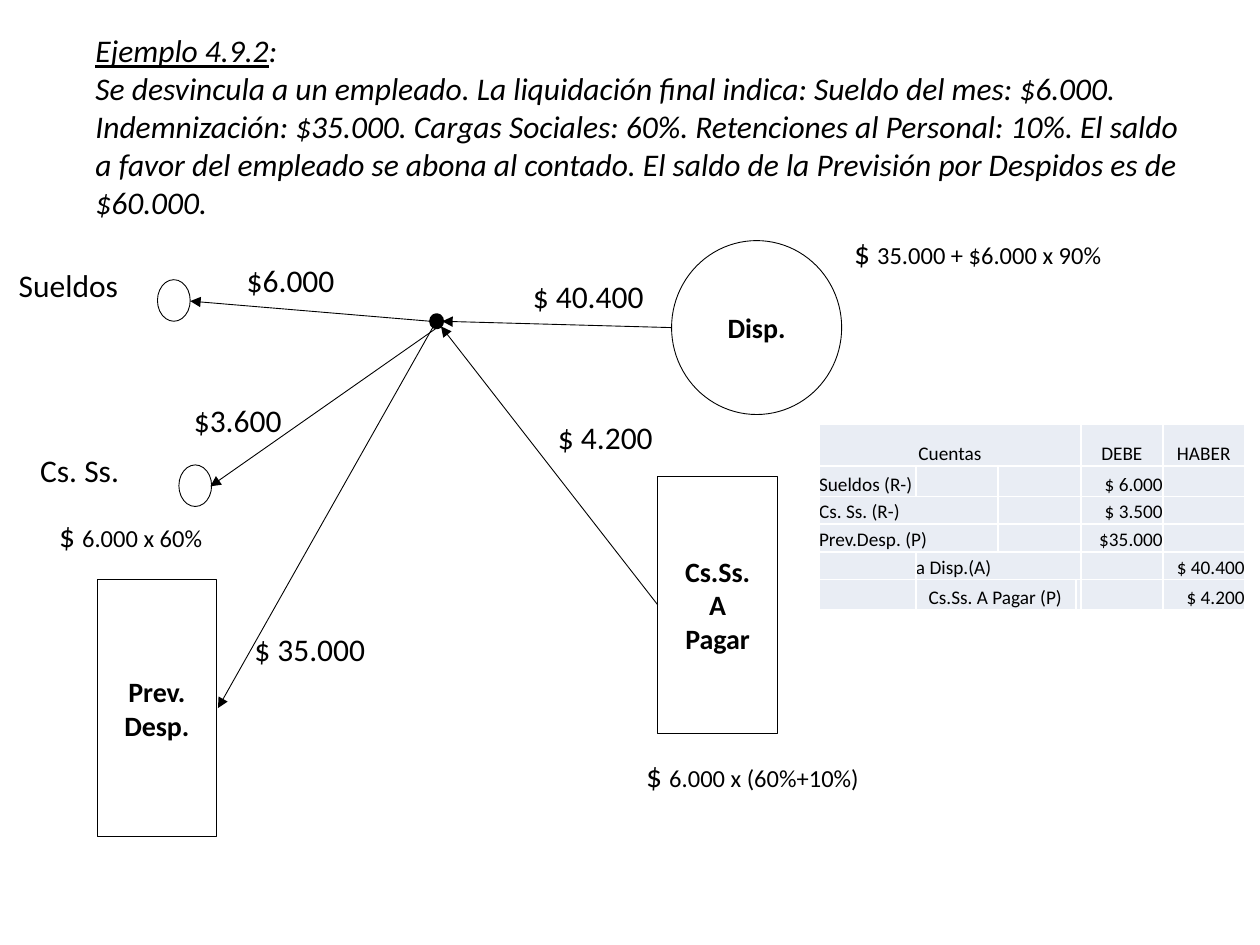
from lxml.etree import SubElement as Sub
from pptx import Presentation
from pptx.dml.color import RGBColor
from pptx.enum.shapes import MSO_CONNECTOR as Conn, MSO_SHAPE as Kind
from pptx.enum.text import (MSO_ANCHOR as Anchor, MSO_AUTO_SIZE as Auto,
                            PP_ALIGN as Align)
from pptx.oxml.ns import qn
from pptx.util import Inches, Pt

BLACK = RGBColor(0, 0, 0)
WHITE = RGBColor(255, 255, 255)
PALE = RGBColor(0xE9, 0xED, 0xF4)
FONT = "Calibri"

TITLE = [
    "Se desvincula a un empleado. La liquidación final indica: "
    "Sueldo del mes: $6.000.",
    "Indemnización: $35.000. Cargas Sociales: 60%. Retenciones al Personal: "
    "10%. El saldo a favor del empleado se abona al contado. El saldo de la "
    "Previsión por Despidos es de $60.000.",
]

# Left, top, width, text
LABELS = [
    (1.86, 2.02, 0.96, "$6.000"),
    (4.33, 3.27, 0.96, "$ 4.200"),
    (4.13, 2.15, 1.09, "$ 40.400"),
    (1.92, 4.95, 1.09, "$ 35.000"),
    (1.44, 3.13, 0.96, "$3.600"),
    (0.05, 2.06, 1.51, "Sueldos"),
    (0.22, 3.53, 1.51, "Cs. Ss."),
]
NOTES = [
    (0.37, 4.05, 1.35, "6.000 x 60%"),
    (5.03, 5.95, 1.91, "6.000 x (60%+10%)"),
    (6.68, 1.8, 2.18, "35.000 + $6.000 x 90%"),
]

# Start and end of each arrow
ARROWS = [
    (5.22, 4.8, 3.5, 2.59),
    (5.33, 2.6, 3.51, 2.55),
    (3.42, 2.55, 1.51, 2.39),
    (3.44, 2.59, 1.73, 5.62),
    (3.47, 2.6, 1.67, 3.86),
]

COLS = [0.77, 0.65, 0.62, 0.03, 0.65, 0.65]
ROWS = [0.33, 0.24, 0.22, 0.22, 0.22, 0.24]
# Row, first column, last column
SPANS = [(0, 0, 3), (1, 2, 3), (2, 0, 1), (2, 2, 3), (3, 0, 1), (3, 2, 3),
         (4, 1, 3), (5, 1, 2)]
# Row, column, text, alignment
CELLS = [
    (0, 0, "Cuentas", Align.CENTER),
    (0, 4, "DEBE", Align.CENTER),
    (0, 5, "HABER", Align.CENTER),
    (1, 0, "Sueldos (R-)", Align.LEFT),
    (1, 4, "$ 6.000", Align.RIGHT),
    (2, 0, "Cs. Ss. (R-)", Align.LEFT),
    (2, 4, "$ 3.500", Align.RIGHT),
    (3, 0, "Prev.Desp. (P)", Align.LEFT),
    (3, 4, "$35.000", Align.RIGHT),
    (4, 1, "a Disp.(A)", Align.LEFT),
    (4, 5, "$ 40.400", Align.RIGHT),
    (5, 1, "Cs.Ss. A Pagar (P)", Align.LEFT),
    (5, 5, "$ 4.200", Align.RIGHT),
]


def add_run(para, text, size, bold=None, slant=None, under=None):
    run = para.add_run()
    run.text = text
    font = run.font
    font.name, font.size = FONT, Pt(size)
    font.bold, font.italic, font.underline = bold, slant, under
    font.color.rgb = BLACK


def add_box(slide, left, top, width, height=0.4, wrap=False):
    box = slide.shapes.add_textbox(*map(Inches, (left, top, width, height)))
    frame = box.text_frame
    frame.word_wrap = wrap
    frame.auto_size = Auto.SHAPE_TO_FIT_TEXT
    return frame


def add_title(slide):
    frame = add_box(slide, 0.66, 0.2, 8.8, 1.62, wrap=True)
    head = frame.paragraphs[0]
    add_run(head, "Ejemplo 4.9.2", 18, slant=True, under=True)
    add_run(head, ":", 18, slant=True)
    for text in TITLE:
        add_run(frame.add_paragraph(), text, 18, slant=True)


def add_node(slide, kind, left, top, width, height, lines=(), line=0.5,
             fill=None):
    node = slide.shapes.add_shape(
        kind, *map(Inches, (left, top, width, height)))
    node.shadow.inherit = False
    if fill is None:
        node.fill.background()
    else:
        node.fill.solid()
        node.fill.fore_color.rgb = fill
    node.line.color.rgb = BLACK
    node.line.width = Pt(line)
    frame = node.text_frame
    frame.vertical_anchor = Anchor.MIDDLE
    for i, text in enumerate(lines):
        para = frame.add_paragraph() if i else frame.paragraphs[0]
        para.alignment = Align.CENTER
        add_run(para, text, 16, bold=True)


def add_arrow(slide, *ends):
    arrow = slide.shapes.add_connector(Conn.STRAIGHT, *map(Inches, ends))
    arrow.line.color.rgb = BLACK
    arrow.line.width = Pt(0.5)
    Sub(arrow.line._get_or_add_ln(), qn("a:tailEnd"), type="triangle")
    Sub(arrow._element.spPr, qn("a:effectLst"))


def style_cell(cell):
    cell.margin_left = cell.margin_right = 0
    cell.margin_top = cell.margin_bottom = 0
    cell.vertical_anchor = Anchor.BOTTOM
    props = cell._tc.get_or_add_tcPr()
    for side in ("lnL", "lnR", "lnT", "lnB"):
        edge = Sub(props, qn("a:" + side), w=str(Pt(1)))
        Sub(Sub(edge, qn("a:solidFill")), qn("a:srgbClr"), val=str(WHITE))
    cell.fill.solid()
    cell.fill.fore_color.rgb = PALE
    # Keeps empty cells from stretching their row
    para = cell.text_frame.paragraphs[0]
    Sub(para._p, qn("a:endParaRPr"), sz="1100")


def add_ledger(slide):
    frame = slide.shapes.add_table(
        len(ROWS), len(COLS), Inches(6.5), Inches(3.37),
        Inches(sum(COLS)), Inches(sum(ROWS)))
    table = frame.table
    table.first_row = table.horz_banding = False
    for col, width in zip(table.columns, COLS):
        col.width = Inches(width)
    for row, height in zip(table.rows, ROWS):
        row.height = Inches(height)
    for cell in table.iter_cells():
        style_cell(cell)
    for row, first, last in SPANS:
        table.cell(row, first).merge(table.cell(row, last))
    for row, col, text, align in CELLS:
        para = table.cell(row, col).text_frame.paragraphs[0]
        para.alignment = align
        add_run(para, text, 11)
    table.cell(5, 1).margin_left = Inches(0.1)


def main():
    deck = Presentation()
    deck.slide_width, deck.slide_height = Inches(10), Inches(7.5)
    slide = deck.slides.add_slide(deck.slide_layouts[6])
    add_title(slide)

    # Accounts and the hub that joins them
    add_node(slide, Kind.OVAL, 5.33, 1.91, 1.35, 1.38, ["Disp."])
    add_node(slide, Kind.OVAL, 3.42, 2.5, 0.09, 0.1, line=2, fill=BLACK)
    add_node(slide, Kind.RECTANGLE, 5.22, 3.78, 0.95, 2.04,
             ["Cs.Ss.", "A", "Pagar"])
    add_node(slide, Kind.RECTANGLE, 0.77, 4.6, 0.95, 2.04, ["Prev. Desp."])
    for left, top in ((1.25, 2.22), (1.42, 3.69)):
        add_node(slide, Kind.OVAL, left, top, 0.26, 0.33)
    for ends in ARROWS:
        add_arrow(slide, *ends)

    # Amounts and how they are worked out
    for left, top, width, text in LABELS:
        add_run(add_box(slide, left, top, width).paragraphs[0], text, 18)
    for left, top, width, text in NOTES:
        para = add_box(slide, left, top, width).paragraphs[0]
        add_run(para, "$ ", 18)
        add_run(para, text, 14)

    # Journal entry
    add_ledger(slide)
    deck.save("out.pptx")


if __name__ == "__main__":
    main()
